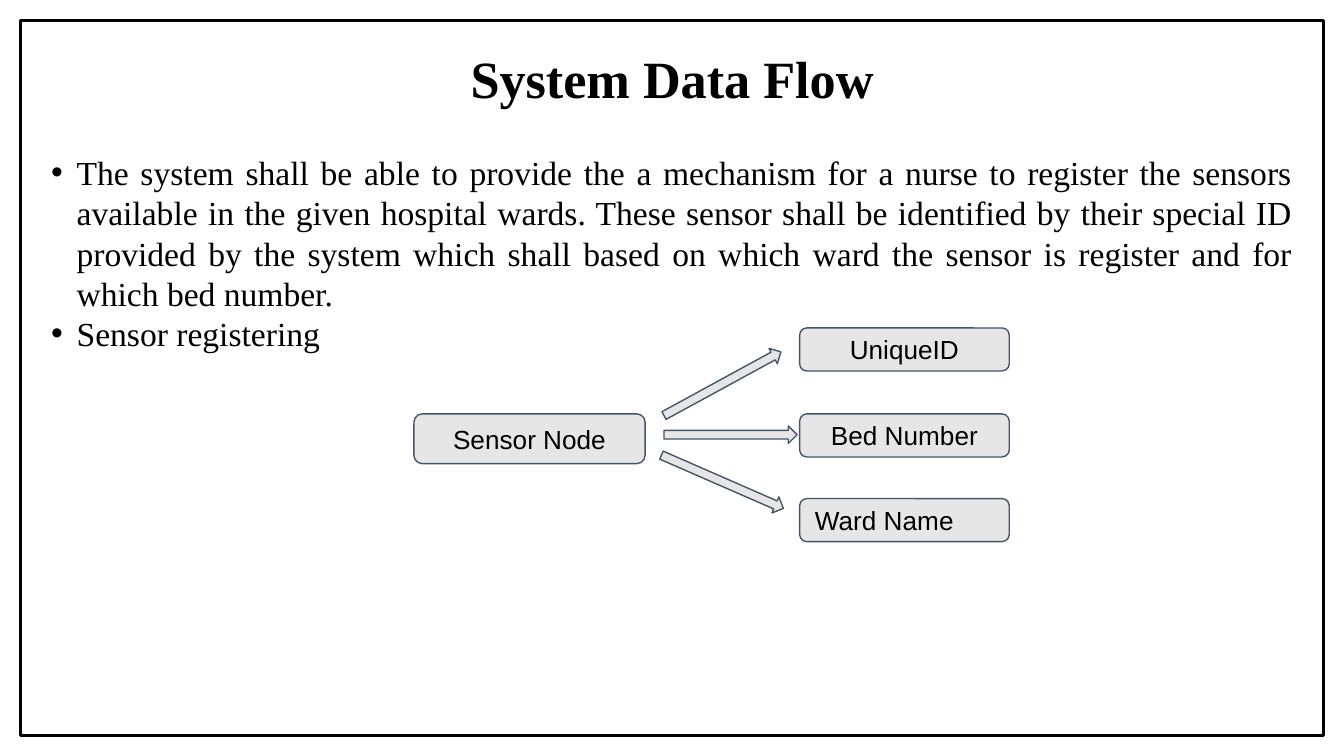
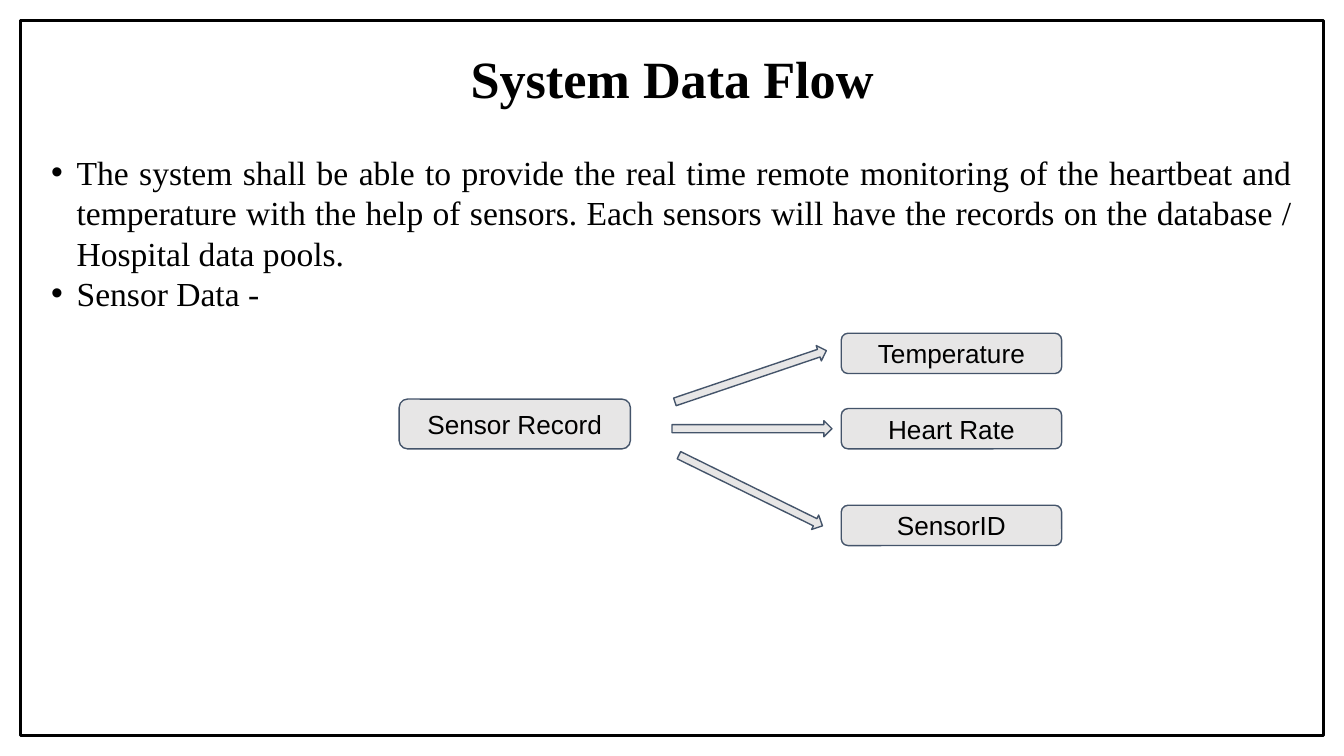
from lxml.etree import SubElement
from pptx import Presentation
from pptx.dml.color import RGBColor
from pptx.enum.shapes import MSO_SHAPE
from pptx.enum.text import MSO_ANCHOR, MSO_AUTO_SIZE, PP_ALIGN
from pptx.oxml.ns import qn
from pptx.util import Inches, Pt

BLACK = RGBColor(0x00, 0x00, 0x00)
GREY = RGBColor(0xE7, 0xE6, 0xE6)
SLATE = RGBColor(0x44, 0x54, 0x6A)
SERIF, SANS = "Times New Roman", "Arial"
TITLE = "System Data Flow"
FRAME_BOX = (0.15, 0.15, 9.7, 5.32)
TITLE_BOX = (0.28, 0.3, 9.44, 0.61)
BODY_BOX = (0.28, 1.08, 9.44, 4.32)
INDENT = Inches(0.19)

SLIDES = [
    {
        "bullets": [
            "The system shall be able to provide the a mechanism for a nurse to register "
            "the sensors available in the given hospital wards. These sensor shall be "
            "identified by their special ID provided by the system which shall based on "
            "which ward the sensor is register and for which bed number.",
            "Sensor registering",
        ],
        "source": ("Sensor Node", 3.08, 3.08),
        "target_box": (5.95, 1.56, 0.32),
        "targets": [
            ("UniqueID", 2.44, PP_ALIGN.CENTER),
            ("Bed Number", 3.08, PP_ALIGN.CENTER),
            ("Ward Name", 3.71, PP_ALIGN.LEFT),
        ],
        "arrow_size": (0.99, 0.13),
        "arrows": [(4.88, 2.79, 331.4), (4.94, 3.17, 0), (4.88, 3.52, 23.6)],
    },
    {
        "bullets": [
            "The system shall be able to provide the real time remote monitoring of the "
            "heartbeat and temperature with the help of sensors. Each sensors will have "
            "the records on the database / Hospital data pools.",
            "Sensor Data - ",
        ],
        "source": ("Sensor Record", 2.97, 2.97),
        "target_box": (6.26, 1.64, 0.3),
        "targets": [
            ("Temperature", 2.48, PP_ALIGN.CENTER),
            ("Heart Rate", 3.04, PP_ALIGN.CENTER),
            ("SensorID", 3.76, PP_ALIGN.CENTER),
        ],
        "arrow_size": (1.19, 0.12),
        "arrows": [(4.99, 2.74, 341.3), (5, 3.13, 0), (4.99, 3.59, 26.2)],
    },
]


def place(shape, box):
    shape.left, shape.top, shape.width, shape.height = map(Inches, box)


def style_paragraph(p, size, font, align, bold=False):
    p.alignment = align
    for r in p.runs:
        r.font.size, r.font.name, r.font.bold = Pt(size), font, bold
        r.font.color.rgb = BLACK


def add_bullet(p):
    pPr = p._p.get_or_add_pPr()
    pPr.set("marL", str(INDENT))
    pPr.set("indent", str(-INDENT))
    color = SubElement(SubElement(pPr, qn("a:buClr")), qn("a:srgbClr"))
    color.set("val", str(BLACK))
    SubElement(pPr, qn("a:buFont")).set("typeface", SANS)
    SubElement(pPr, qn("a:buChar")).set("char", "•")


def add_outlined(s, kind, box, fill=GREY, line=SLATE, width=0.75):
    sp = s.shapes.add_shape(kind, *map(Inches, box))
    sp.shadow.inherit = False
    if fill is None:
        sp.fill.background()
    else:
        sp.fill.solid()
        sp.fill.fore_color.rgb = fill
    sp.line.color.rgb = line
    sp.line.width = Pt(width)
    return sp


def add_node(s, text, box, align=PP_ALIGN.CENTER):
    sp = add_outlined(s, MSO_SHAPE.ROUNDED_RECTANGLE, box)
    tf = sp.text_frame
    tf.text = text
    tf.vertical_anchor = MSO_ANCHOR.MIDDLE
    tf.margin_left = tf.margin_right = tf.margin_top = tf.margin_bottom = Inches(0.1)
    style_paragraph(tf.paragraphs[0], 14, SANS, align)


def add_title(s):
    title = s.shapes.title
    place(title, TITLE_BOX)
    tf = title.text_frame
    tf.text = TITLE
    tf.auto_size = MSO_AUTO_SIZE.NONE
    tf.vertical_anchor = MSO_ANCHOR.MIDDLE
    p = tf.paragraphs[0]
    p.line_spacing = 0.9
    style_paragraph(p, 28, SERIF, PP_ALIGN.CENTER, bold=True)


def add_body(s, bullets):
    body = s.placeholders[1]
    place(body, BODY_BOX)
    tf = body.text_frame
    tf.text = "\n".join(bullets)
    tf.auto_size = MSO_AUTO_SIZE.NONE
    for p in tf.paragraphs:
        p.space_before = Pt(0)
        style_paragraph(p, 18, SERIF, PP_ALIGN.JUSTIFY)
        add_bullet(p)


def add_flow(s, flow):
    text, left, top = flow["source"]
    add_node(s, text, (left, top, 1.72, 0.37))
    left, width, height = flow["target_box"]
    for text, top, align in flow["targets"]:
        add_node(s, text, (left, top, width, height), align)
    for left, top, angle in flow["arrows"]:
        box = (left, top, *flow["arrow_size"])
        add_outlined(s, MSO_SHAPE.RIGHT_ARROW, box).rotation = angle


def main():
    """Build the two data flow slides."""
    prs = Presentation()
    prs.slide_width = Inches(10)
    prs.slide_height = prs.slide_width * 9 // 16
    for content in SLIDES:
        s = prs.slides.add_slide(prs.slide_layouts[1])
        add_outlined(s, MSO_SHAPE.RECTANGLE, FRAME_BOX, None, BLACK, 1.5)
        add_title(s)
        add_body(s, content["bullets"])
        add_flow(s, content)
    prs.save("out.pptx")


if __name__ == "__main__":
    main()
